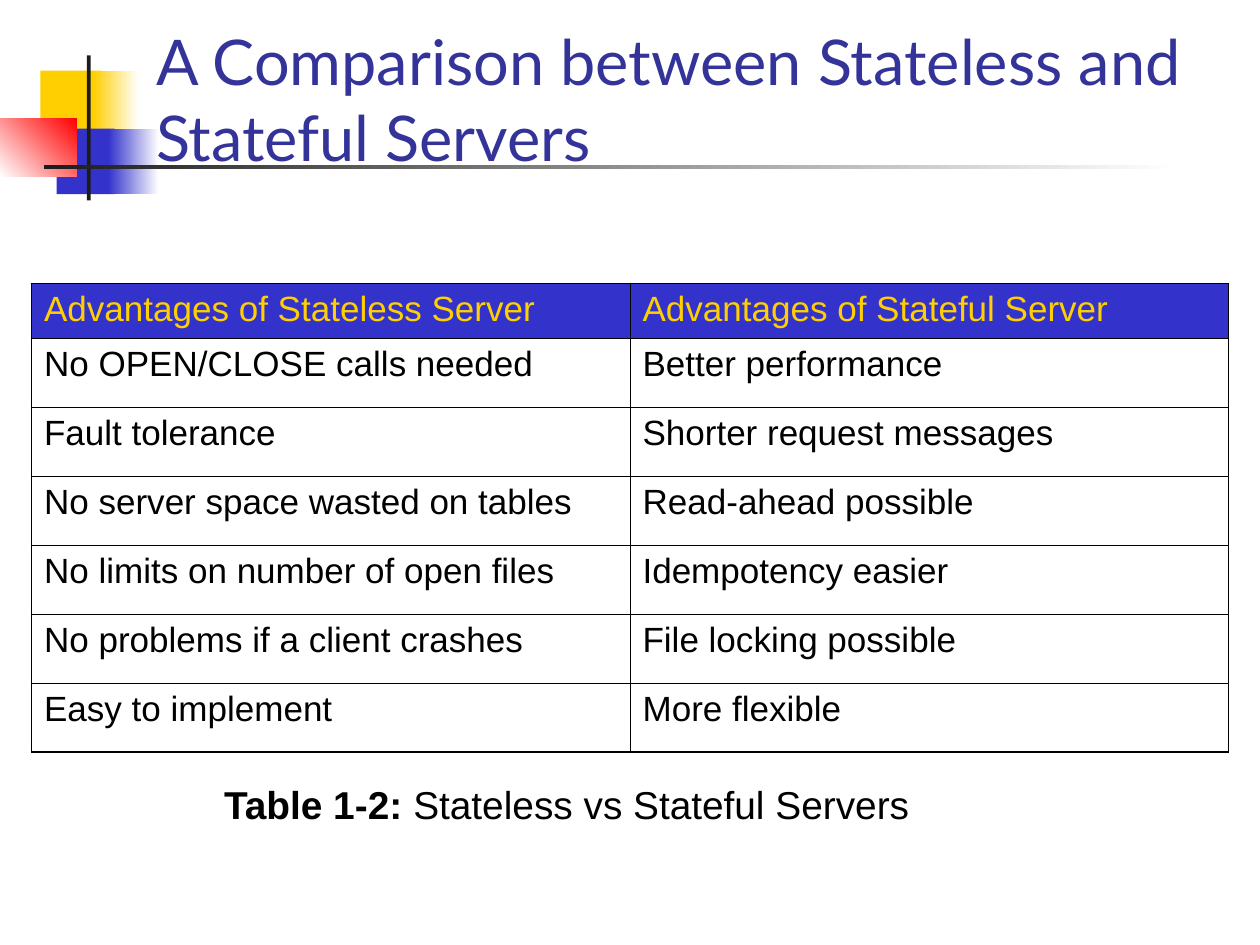
from pptx import Presentation
from pptx.dml.color import RGBColor
from pptx.enum.shapes import MSO_SHAPE as Shape
from pptx.enum.text import MSO_ANCHOR as Anchor
from pptx.oxml import parse_xml
from pptx.oxml.ns import nsdecls
from pptx.util import Inches, Pt

COLORS = {"gold": "FFCF01", "blue": "3333CC", "red": "FF0000", "ink": "1C1C1C",
          "title": "333399", "black": "000000", "white": "FFFFFF"}
THIN, THICK = 0.45, 1.08

ORNAMENTS = [
    ((3.2, 5.6, 4.8, 5.2), ["gold"], 0),
    ((7.4, 5.6, 3.6, 5.2), ["gold", "white"], 0),
    ((4.5, 10.2, 4.6, 5.2), ["blue"], 0),
    ((8.6, 10.2, 4, 5.2), ["blue", "white"], 0),
    ((0, 9.4, 6.1, 4.6), ["white", "red"], 45),
    ((6.9, 4.4, 0.3, 11.5), ["ink"], 0),
    ((3.5, 13.1, 90, 0.3), ["ink", "white"], 0),
]

ADVANTAGES = [
    ("Advantages of Stateless Server", "Advantages of Stateful Server"),
    ("No OPEN/CLOSE calls needed", "Better performance"),
    ("Fault tolerance", "Shorter request messages"),
    ("No server space wasted on tables", "Read-ahead possible"),
    ("No limits on number of open files", "Idempotency easier"),
    ("No problems if a client crashes", "File locking possible"),
    ("Easy to implement", "More flexible"),
]


class SlideBuilder:
    """Draws styled elements on one slide, placed on a 100 by 75 grid."""

    def __init__(self, presentation):
        self.unit = presentation.slide_width / 100
        self.slide = presentation.slides.add_slide(presentation.slide_layouts[6])

    def span(self, *lengths):
        return [round(length * self.unit) for length in lengths]

    def color(self, name):
        return RGBColor.from_string(COLORS[name])

    def block(self, place, names, angle):
        shape = self.slide.shapes.add_shape(Shape.RECTANGLE, *self.span(*place))
        shape.shadow.inherit = False
        shape.line.fill.background()
        if len(names) == 1:
            shape.fill.solid()
            shape.fill.fore_color.rgb = self.color(names[0])
            return
        shape.fill.gradient()
        shape.fill.gradient_angle = angle
        for stop, name, position in zip(shape.fill.gradient_stops, names, (0, 1)):
            stop.color.rgb = self.color(name)
            stop.position = position

    def run(self, paragraph, text, size, color, font="Arial", bold=False):
        run = paragraph.add_run()
        run.text = text
        run.font.size, run.font.name, run.font.bold = Pt(size), font, bold
        run.font.color.rgb = self.color(color)

    def text(self, place, runs, anchor=Anchor.TOP, spacing=1.0):
        frame = self.slide.shapes.add_textbox(*self.span(*place)).text_frame
        frame.word_wrap = True
        frame.vertical_anchor = anchor
        paragraph = frame.paragraphs[0]
        paragraph.line_spacing = spacing
        for run in runs:
            self.run(paragraph, **run)

    def borders(self, cell, widths):
        properties = cell._tc.get_or_add_tcPr()
        for index, (side, width) in enumerate(zip("LRTB", widths)):
            properties.insert(index, parse_xml(
                f'<a:ln{side} {nsdecls("a")} w="{int(Pt(width))}"><a:solidFill>'
                f'<a:srgbClr val="{COLORS["black"]}"/></a:solidFill></a:ln{side}>'))

    def table(self, place, rows, heights):
        row_count, column_count = len(rows), len(rows[0])
        table = self.slide.shapes.add_table(row_count, column_count, *self.span(*place)).table
        for row, height in zip(table.rows, self.span(*heights)):
            row.height = height
        for r, texts in enumerate(rows):
            for c, text in enumerate(texts):
                cell = table.cell(r, c)
                edges = (c == 0, c == column_count - 1, r == 0, r == row_count - 1)
                if r == 0:
                    cell.fill.solid()
                    cell.fill.fore_color.rgb = self.color("blue")
                else:
                    cell.fill.background()
                self.borders(cell, [THICK if edge else THIN for edge in edges])
                self.run(cell.text_frame.paragraphs[0], text, 20, "black" if r else "gold")


def main():
    presentation = Presentation()
    presentation.slide_width, presentation.slide_height = Inches(10), Inches(7.5)
    builder = SlideBuilder(presentation)
    for ornament in ORNAMENTS:
        builder.block(*ornament)
    builder.text((11.4, 5.1, 87.4, 9.2), [
        dict(text="A Comparison between Stateless and Stateful Servers",
             size=36, color="title", font="Lato")], Anchor.BOTTOM)
    builder.table((2.5, 22.5, 95, 37.2), ADVANTAGES, [4.3] + [5.48] * 6)
    builder.text((16.8, 61.9, 63, 5), [
        dict(text="Table 1-2:", size=22.2, color="black", bold=True),
        dict(text=" Stateless vs Stateful Servers", size=22.2, color="black")], spacing=0.9)
    presentation.save("out.pptx")


if __name__ == "__main__":
    main()
